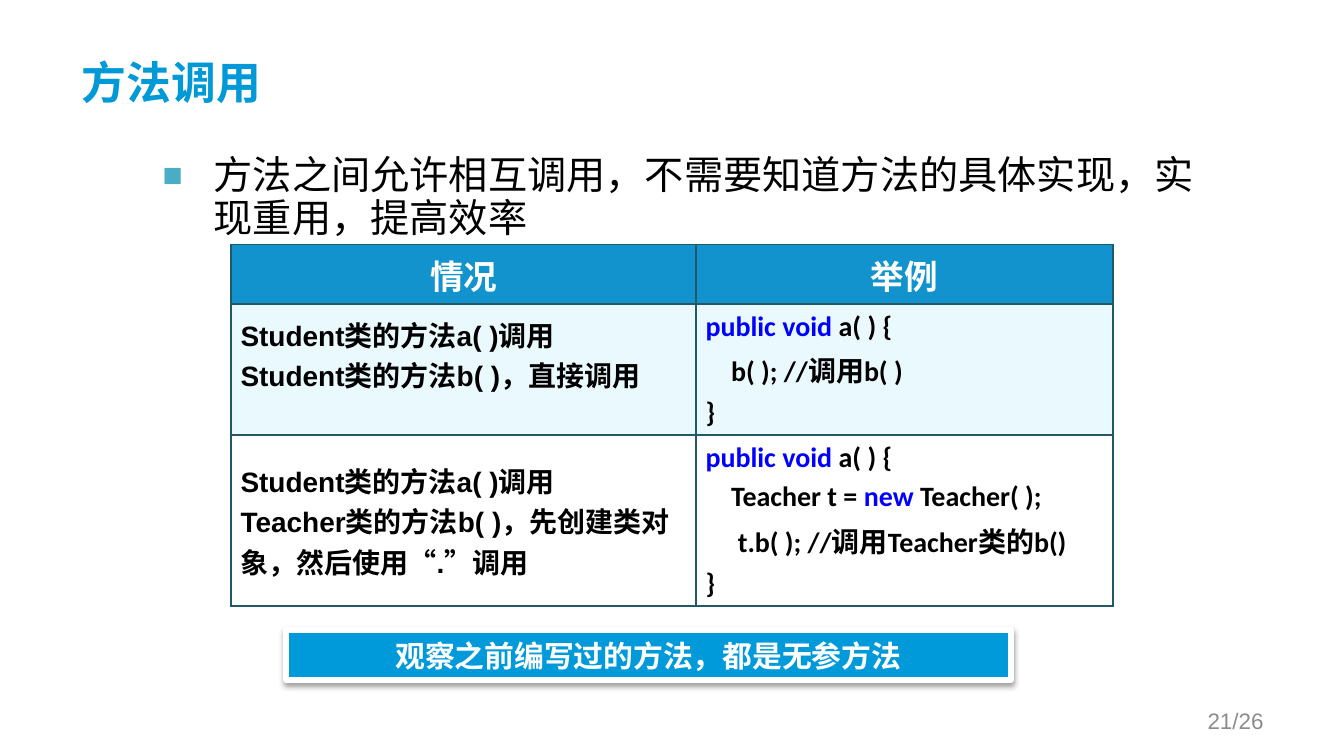
"""Build the slide on calling methods from other methods."""
from lxml import etree
from pptx import Presentation
from pptx.dml.color import RGBColor
from pptx.enum.shapes import MSO_SHAPE as Shape
from pptx.enum.text import MSO_ANCHOR as Anchor, MSO_AUTO_SIZE as AutoSize, PP_ALIGN as Align
from pptx.oxml import parse_xml
from pptx.oxml.ns import nsdecls, qn
from pptx.util import Inches, Pt

BLACK = RGBColor(0x00, 0x00, 0x00)
WHITE = RGBColor(0xFF, 0xFF, 0xFF)
GREY = RGBColor(0x8C, 0x8C, 0x8C)
TITLE_BLUE = RGBColor(0x00, 0x99, 0xD8)
BANNER_BLUE = RGBColor(0x00, 0x9A, 0xDA)
HEADER_BLUE = RGBColor(0x12, 0x93, 0xCD)
PALE_BLUE = RGBColor(0xE9, 0xF9, 0xFD)
KEYWORD_BLUE = RGBColor(0x00, 0x00, 0xFF)
BORDER = RGBColor(0x21, 0x59, 0x68)
BULLET = RGBColor(0x4B, 0xAC, 0xC6)
CJK = "Noto Sans CJK SC"


def write(paragraph, text, color, **font_values):
    run = paragraph.add_run()
    run.text = text
    run.font.color.rgb = color
    for name, value in font_values.items():
        setattr(run.font, name, value)
    etree.SubElement(run.font._element, qn("a:ea")).set("typeface", CJK)


def place(shape, left, top, width, height):
    box = {"left": left, "top": top, "width": width, "height": height}
    for name, value in box.items():
        setattr(shape, name, Inches(value))


deck = Presentation()
deck.slide_width = Inches(10)
deck.slide_height = deck.slide_width * 9 // 16
slide = deck.slides.add_slide(deck.slide_layouts[1])

title = slide.shapes.title
place(title, 0.51, 0.14, 9, 0.94)
title.text_frame.vertical_anchor = Anchor.MIDDLE
heading = title.text_frame.paragraphs[0]
heading.alignment = Align.LEFT
write(heading, "方法调用", TITLE_BLUE, size=Pt(24), name="Calibri", bold=True)

body = slide.placeholders[1]
place(body, 0.74, 1.11, 8.49, 3.71)
body.text_frame.auto_size = AutoSize.NONE
point = body.text_frame.paragraphs[0]
point.level = 2
point.line_spacing = 0.9
point.space_before = Pt(4.2)
write(point, "方法之间允许相互调用，不需要知道方法的具体实现，实现重用，提高效率",
      BLACK, size=Pt(21), name=CJK)
bullet_props = point._p.get_or_add_pPr()
bullet_props.set("marL", str(Inches(0.75)))
bullet_props.set("indent", str(Inches(-0.38)))
for bullet_xml in (
    f'<a:buClr {nsdecls("a")}><a:srgbClr val="{BULLET}"/></a:buClr>',
    f'<a:buSzPct {nsdecls("a")} val="85000"/>',
    f'<a:buFont {nsdecls("a")} typeface="Arial"/>',
    f'<a:buChar {nsdecls("a")} char="■"/>',
):
    bullet_props.append(parse_xml(bullet_xml))

signature = (0, [("public void", KEYWORD_BLUE), (" a( ) {", BLACK)])
closing = (0, [("}", BLACK)])
cases = [
    [[(0, [("情况", WHITE)])], [(0, [("举例", WHITE)])]],
    [
        [(0, [("Student类的方法a( )调用\vStudent类的方法b( )，直接调用", BLACK)])],
        [signature, (0.19, [("b( ); //调用b( )", BLACK)]), closing],
    ],
    [
        [(0, [("Student类的方法a( )调用\vTeacher类的方法b( )，先创建类对象，然后使用“.”调用", BLACK)])],
        [
            signature,
            (0.19, [("Teacher t = ", BLACK), ("new", KEYWORD_BLUE), (" Teacher( );", BLACK)]),
            (0.24, [("t.b( ); //调用Teacher类的b()", BLACK)]),
            closing,
        ],
    ],
]
row_fills = [HEADER_BLUE, PALE_BLUE, None]
margins = {"margin_left": 0.07, "margin_right": 0.07, "margin_top": 0.04, "margin_bottom": 0.04}

table = slide.shapes.add_table(
    3, 2, Inches(1.72), Inches(1.82), Inches(6.56), Inches(2.53)).table
table.first_row = table.horz_banding = False
for column, width in zip(table.columns, (3.46, 3.1)):
    column.width = Inches(width)
for row, height in zip(table.rows, (0.38, 0.93, 1.23)):
    row.height = Inches(height)

for r, (case, fill) in enumerate(zip(cases, row_fills)):
    for c, lines in enumerate(case):
        cell = table.cell(r, c)
        cell.vertical_anchor = Anchor.MIDDLE
        for name, value in margins.items():
            setattr(cell, name, Inches(value))
        if fill is None:
            cell.fill.background()
        else:
            cell.fill.solid()
            cell.fill.fore_color.rgb = fill
        cell_props = cell._tc.get_or_add_tcPr()
        for i, side in enumerate(("lnL", "lnR", "lnT", "lnB")):
            cell_props.insert(i, parse_xml(
                f'<a:{side} {nsdecls("a")} w="{Pt(1)}"><a:solidFill>'
                f'<a:srgbClr val="{BORDER}"/></a:solidFill></a:{side}>'))

        font_name = CJK if r == 0 else ("Arial", "Calibri")[c]
        for n, (indent, runs) in enumerate(lines):
            frame = cell.text_frame
            line = frame.add_paragraph() if n else frame.paragraphs[0]
            line.alignment = Align.LEFT if r else Align.CENTER
            line.space_before = Pt(3)
            line._p.get_or_add_pPr().set("indent", str(Inches(indent)))
            for text, color in runs:
                for k, part in enumerate(text.split("\v")):
                    if k:
                        line.add_line_break()
                    write(line, part, color, size=Pt(15 if r else 18), name=font_name, bold=True)
table.cell(1, 0).margin_bottom = Inches(0.27)

banner = slide.shapes.add_shape(
    Shape.ROUNDED_RECTANGLE, Inches(2.13), Inches(4.69), Inches(5.39), Inches(0.37))
banner.adjustments[0] = 0
banner.fill.solid()
banner.fill.fore_color.rgb = BANNER_BLUE
banner.line.color.rgb = WHITE
banner.line.width = Pt(3)
banner.shadow.inherit = False
banner.element.spPr.find(qn("a:effectLst")).append(parse_xml(
    f'<a:outerShdw {nsdecls("a")} blurRad="{Pt(3.1)}" dist="{Pt(1.6)}" dir="5400000" rotWithShape="0">'
    f'<a:srgbClr val="{BLACK}"><a:alpha val="38000"/></a:srgbClr></a:outerShdw>'))
banner.text_frame.vertical_anchor = Anchor.MIDDLE
remark = banner.text_frame.paragraphs[0]
remark.alignment = Align.CENTER
write(remark, "观察之前编写过的方法，都是无参方法", WHITE, size=Pt(16), name="Calibri", bold=True)

page_number = slide.shapes.add_textbox(Inches(7.17), Inches(5.21), Inches(2.33), Inches(0.3))
page_number.text_frame.word_wrap = True
page_number.text_frame.vertical_anchor = Anchor.MIDDLE
page = page_number.text_frame.paragraphs[0]
page.alignment = Align.RIGHT
write(page, "21/26", GREY, size=Pt(12), name="Arial")

deck.save("out.pptx")
